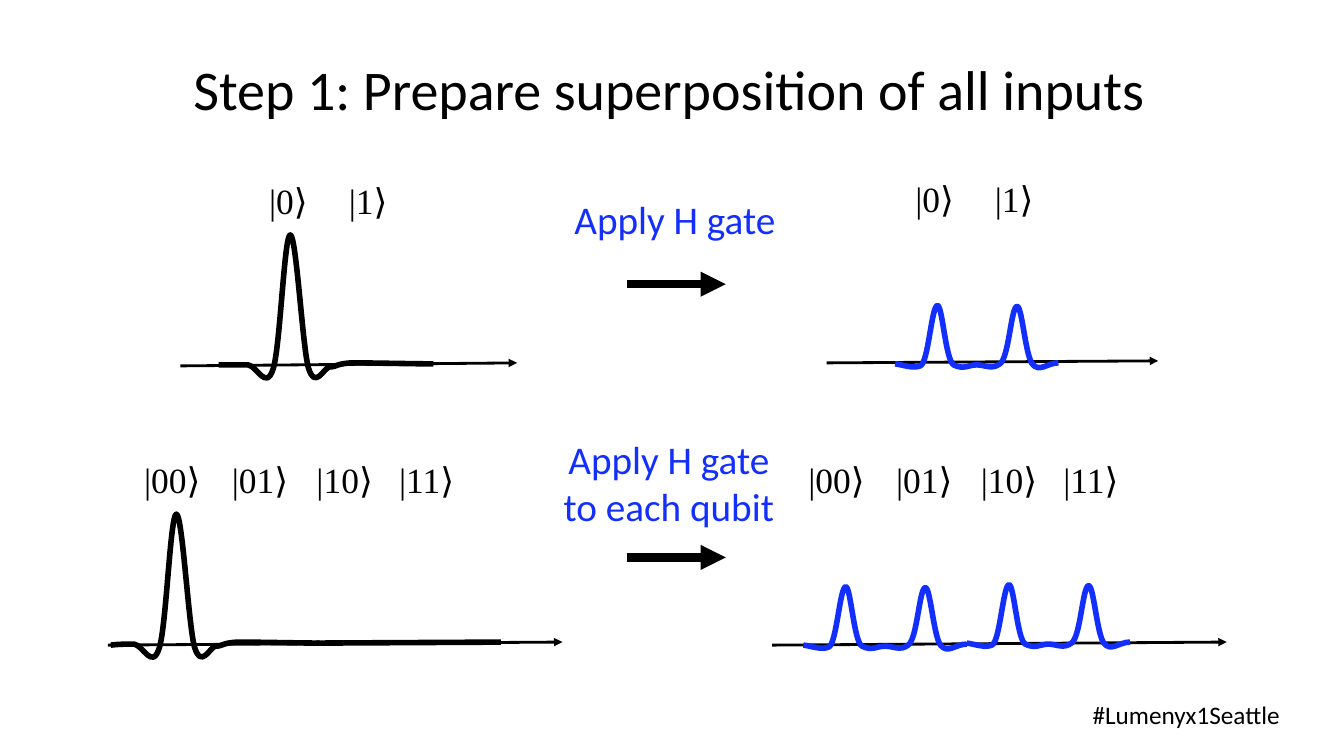
import pptx
import pptx.util
import pptx.dml.color
import pptx.enum.shapes
import pptx.enum.text
import pptx.oxml.ns
import lxml.etree

COLOURS = {"ink": "000000", "blue": "132FFD"}
SANS, SERIF = "Calibri", "Times New Roman"

# The grid: one column or row is a tenth of an inch
CELL = pptx.util.Inches(0.1)
COLUMNS, ROWS = 133.33, 75

# Labels of the basis states: column offset and width
ONE_QUBIT = {"|0": (0, 8.5), "|1": (7.9, 9.1)}
TWO_QUBITS = {"|00": (0, 10.3), "|01": (8.7, 9.8), "|10": (17.1, 10), "|11": (25.3, 10.3)}

# Bezier points of the waves: the tall one from its peak, the double one from its left end
TALL_WAVE = [
    (14.2, 12.8), (12.6, 12.8), (7.8, 12.7), (6.1, 12.7), (4.4, 12.8), (4.7, 13.1), (3.9, 13.1),
    (3.3, 13.2), (2.5, 15.4), (1.8, 13.2), (1.2, 11), (0.6, 0), (0, 0),
    (-0.6, 0), (-1, 11.2), (-1.7, 13.3), (-2.4, 15.5), (-3.3, 13), (-4.2, 12.9),
    (-5, 12.9), (-5.7, 12.9)]
DOUBLE_WAVE = [
    (0, 0), (0.8, 0.1), (1.8, 0.5), (2.5, 0.2), (3.3, -0.1), (3.6, -5.7), (4.2, -5.8),
    (4.7, -5.8), (5, -0.4), (5.8, 0.1), (6.8, 0.6), (7.3, 0.1), (8.1, 0.1),
    (8.9, 0.1), (9.6, 0.6), (10.4, 0), (11.3, -0.6), (11.5, -5.7), (12.1, -5.7),
    (12.6, -5.7), (12.9, -1), (13.6, 0), (14.3, 0.9), (15.1, -0.1), (16.2, -0.1)]
TALL_HEIGHT, DOUBLE_HEIGHT = 14.2, 6.1


def grid(*lengths):
    return [int(length * CELL) for length in lengths]


class Sketch:
    """Holds the style and the current slide."""

    def __init__(self, page):
        self.page = page

    def colour(self, name):
        return pptx.dml.color.RGBColor.from_string(COLOURS[name])

    def style(self, span, size, colour="ink", font=SANS):
        span.font.size = pptx.util.Pt(size)
        span.font.name = font
        span.font.color.rgb = self.colour(colour)

    def title(self, text, place):
        box = self.page.shapes.title
        box.left, box.top, box.width, box.height = grid(*place)
        box.text_frame.text = text
        box.text_frame.vertical_anchor = pptx.enum.text.MSO_ANCHOR.TOP
        para = box.text_frame.paragraphs[0]
        para.alignment = pptx.enum.text.PP_ALIGN.CENTER
        self.style(para.runs[0], 40)

    def text(self, text, place, size, colour="ink", align=pptx.enum.text.PP_ALIGN.LEFT):
        box = self.page.shapes.add_textbox(*grid(*place))
        frame = box.text_frame
        frame.text = text
        frame.word_wrap = False
        frame.auto_size = pptx.enum.text.MSO_AUTO_SIZE.SHAPE_TO_FIT_TEXT
        for para in frame.paragraphs:
            para.alignment = align
            self.style(para.runs[0], size, colour)

    def kets(self, labels, column, row):
        for label, (offset, width) in labels.items():
            box = self.page.shapes.add_textbox(*grid(column + offset, row, width, 6.2))
            frame = box.text_frame
            frame.word_wrap = True
            frame.auto_size = pptx.enum.text.MSO_AUTO_SIZE.SHAPE_TO_FIT_TEXT
            frame.margin_left = frame.margin_right = pptx.util.Inches(0.14)
            frame.margin_top = frame.margin_bottom = pptx.util.Inches(0.11)
            para = frame.paragraphs[0]
            para.line_spacing = 0.9
            para.space_after = pptx.util.Pt(4.3)
            for part, font in ((label, SERIF), ("⟩", SANS)):
                span = para.add_run()
                span.text = part
                self.style(span, 25.3, font=font)

    def arrow(self, start, end, weight):
        line = self.page.shapes.add_connector(
            pptx.enum.shapes.MSO_CONNECTOR.STRAIGHT, *grid(*start, *end))
        line.line.color.rgb = self.colour("ink")
        line.line.width = pptx.util.Pt(weight)
        qn = pptx.oxml.ns.qn
        lxml.etree.SubElement(line.line._get_or_add_ln(), qn("a:tailEnd"), type="triangle")
        lxml.etree.SubElement(line._element.spPr, qn("a:effectLst"))

    def outline(self, points, column, row, colour="ink"):
        start, *rest = [tuple(grid(column + x, row + y)) for x, y in points]
        builder = self.page.shapes.build_freeform(*start)
        builder.add_line_segments(rest, close=False)
        shape = builder.convert_to_shape()
        shape.shadow.inherit = False
        shape.fill.background()
        shape.line.color.rgb = self.colour(colour)
        shape.line.width = pptx.util.Pt(4)
        return shape

    def wave(self, points, column, row, height, colour="ink"):
        shape = self.outline(points, column, row, colour)
        qn = pptx.oxml.ns.qn
        track = next(shape._element.iter(qn("a:path")))
        # Every three line ends become one cubic curve
        steps = track.findall(qn("a:lnTo"))
        for first in range(0, len(steps), 3):
            curve = lxml.etree.SubElement(track, qn("a:cubicBezTo"))
            for step in steps[first:first + 3]:
                curve.append(step[0])
                track.remove(step)
        # The frame ends at the curve, not at its control points
        shape.height = grid(height)[0]
        track.set("h", str(shape.height))


def main():
    deck = pptx.Presentation()
    deck.slide_width, deck.slide_height = grid(COLUMNS, ROWS)
    sketch = Sketch(deck.slides.add_slide(deck.slide_layouts[5]))

    # Title and footer
    sketch.title("Step 1: Prepare superposition of all inputs", (6.7, 4.9, 119.3, 7.7))
    sketch.text("#Lumenyx1Seattle", (107.4, 68.9, 21.8, 4), 18)

    # Axes
    for start, end in (((17.9, 36.3), (51.3, 36)), ((82, 36), (114.9, 35.8)),
                       ((10.7, 64), (55.8, 63.7)), ((76.6, 64), (121.7, 63.7))):
        sketch.arrow(start, end, 2)

    # Starting states, the lower one with a long flat tail
    for left_end, column, row in (((-7.1, 12.9), 28.8, 23.3), ((-6.5, 13), 17.5, 51)):
        sketch.wave(TALL_WAVE + [left_end], column, row, TALL_HEIGHT)
    sketch.outline([(0, 0), (18.3, -0.1)], 31.4, 63.8)

    # Superpositions
    for column, row in ((88.8, 36.1), (79.7, 64), (95.9, 63.8)):
        sketch.wave(DOUBLE_WAVE, column, row, DOUBLE_HEIGHT, "blue")

    # State labels
    for labels, column, row in ((ONE_QUBIT, 25.3, 17.1), (ONE_QUBIT, 89.4, 16.9),
                                (TWO_QUBITS, 12.9, 44.8), (TWO_QUBITS, 78.8, 44.8)):
        sketch.kets(labels, column, row)

    # Gate steps
    for row in (28.2, 55.3):
        sketch.arrow((62.2, row), (72, row), 6)
    sketch.text("Apply H gate", (56, 18.9, 22.2, 5.7), 28, "blue")
    sketch.text("Apply H gate\nto each qubit", (54.8, 42.7, 23.1, 10.4), 28, "blue",
                pptx.enum.text.PP_ALIGN.CENTER)

    deck.save("out.pptx")


if __name__ == "__main__":
    main()
